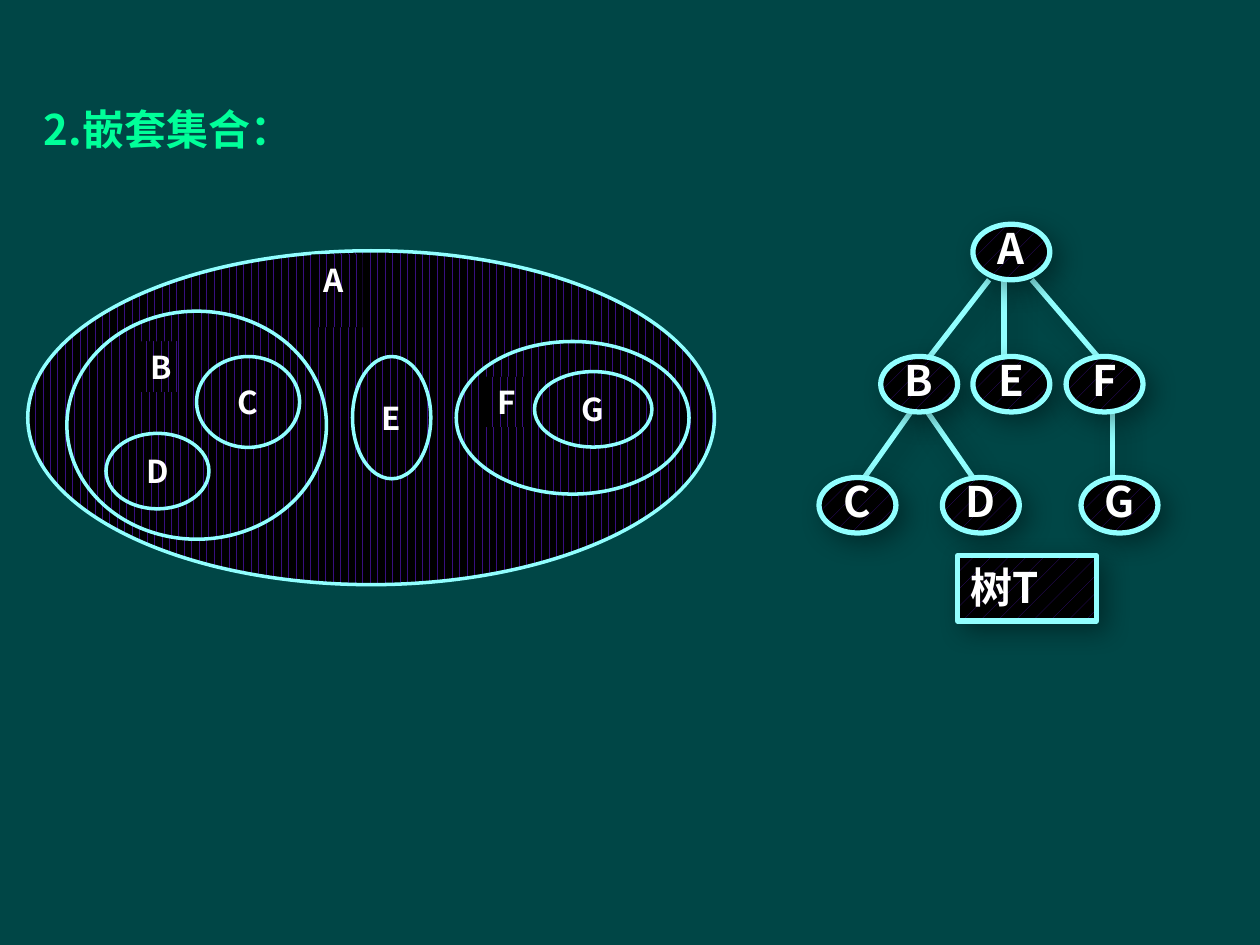
import pptx
import pptx.util
import pptx.dml.color
import pptx.enum.dml
import pptx.enum.shapes
import pptx.enum.text
import pptx.oxml
import pptx.oxml.ns
from dataclasses import dataclass

SHAPE = pptx.enum.shapes.MSO_SHAPE
PATTERN = pptx.enum.dml.MSO_PATTERN
ANCHOR = pptx.enum.text.MSO_ANCHOR
ALIGN = pptx.enum.text.PP_ALIGN


@dataclass
class Theme:
    font: str = "Noto Sans CJK SC"
    background: str = "004646"
    title: str = "00FF99"
    text: str = "FFFFFF"
    outline: str = "91FFFF"
    hatch: str = "380F7F"
    fill: str = "000000"
    large: int = 24
    small: int = 18
    thin: int = 2
    thick: int = 3


@dataclass
class Box:
    x: float
    y: float
    w: float
    h: float

    def point(self, px, py):
        """Position in EMU from percentages of the box."""
        return (pptx.util.Inches(self.x + self.w * px / 100),
                pptx.util.Inches(self.y + self.h * py / 100))

    def area(self, px, py, pw, ph):
        return (*self.point(px, py),
                pptx.util.Inches(self.w * pw / 100),
                pptx.util.Inches(self.h * ph / 100))


theme = Theme()


def rgb(value):
    return pptx.dml.color.RGBColor.from_string(value)


def write(sp, text, size, color, anchor=ANCHOR.TOP, align=ALIGN.LEFT, wrap=True, spacing=None):
    tf = sp.text_frame
    tf.text = text
    tf.word_wrap = wrap
    tf.vertical_anchor = anchor
    p = tf.paragraphs[0]
    p.alignment = align
    p.line_spacing = spacing
    for r in p.runs:
        r.font.name, r.font.size, r.font.bold = theme.font, pptx.util.Pt(size), True
        r.font.color.rgb = rgb(color)
        ea = r.font._element.makeelement(pptx.oxml.ns.qn("a:ea"), {"typeface": theme.font})
        r.font._element.append(ea)


def draw_line(line, width):
    line.color.rgb = rgb(theme.outline)
    line.width = pptx.util.Pt(width)


def add_shadow(sp):
    sp._element.spPr.append(pptx.oxml.parse_xml(
        f'<a:effectLst {pptx.oxml.ns.nsdecls("a")}>'
        '<a:outerShdw blurRad="190500" dist="78740" dir="2700000" algn="ctr" rotWithShape="0">'
        '<a:srgbClr val="000000"><a:alpha val="36000"/></a:srgbClr>'
        '</a:outerShdw></a:effectLst>'))


def add_patterned(shapes, kind, place, pattern, width=None, shadow=False):
    sp = shapes.add_shape(kind, *place)
    sp.fill.patterned()
    sp.fill.pattern = pattern
    sp.fill.fore_color.rgb = rgb(theme.hatch)
    sp.fill.back_color.rgb = rgb(theme.fill)
    if width:
        draw_line(sp.line, width)
    else:
        sp.line.fill.background()
    if shadow:
        add_shadow(sp)
    else:
        sp.shadow.inherit = False
    return sp


def add_title(s, box):
    sp = s.shapes.add_textbox(*box.area(0, 0, 100, 100))
    write(sp, "2.嵌套集合：", theme.large, theme.title, anchor=ANCHOR.BOTTOM)


def add_nested_sets(s, box):
    shapes = s.shapes.add_group_shape().shapes
    # Sets from the outside in; the ones without a name get a label below
    sets = [
        ("", 0, 0, 100, 100),
        ("E", 47.3, 31.7, 11.4, 36.6),
        ("", 5.7, 18.1, 37.8, 68.3),
        ("D", 11.4, 54.7, 15, 22.6),
        ("C", 24.6, 31.7, 15, 27.2),
        ("", 62.4, 27.2, 33.9, 45.7),
        ("G", 73.8, 36.2, 17.1, 22.6),
    ]
    for name, *share in sets:
        sp = add_patterned(shapes, SHAPE.OVAL, box.area(*share),
                           PATTERN.DASHED_VERTICAL, theme.thin)
        if name:
            write(sp, name, theme.small, theme.text, ANCHOR.MIDDLE, ALIGN.CENTER, wrap=False)
    # Labels of the sets that hold others
    labels = [
        ("B", 16.1, 27.2, 5.5, 15.1),
        ("F", 66.6, 37.7, 6.1, 15.1),
        ("A", 41.3, 1.1, 7.5, 21.9),
    ]
    for name, *share in labels:
        sp = add_patterned(shapes, SHAPE.RECTANGLE, box.area(*share), PATTERN.DASHED_VERTICAL)
        write(sp, name, theme.small, theme.text)


def add_tree(s, box):
    shapes = s.shapes.add_group_shape().shapes
    levels = [0, 33.3, 63.8]
    node_w, node_h = 22.7, 14
    # Branches: parent level, x at the parent, x at the child
    branches = [
        (0, 50.2, 32.7), (0, 54.6, 54.6), (0, 62.8, 82.2),
        (1, 27.1, 13.4), (1, 32, 45.4), (1, 86.6, 86.6),
    ]
    for level, x1, x2 in branches:
        line = shapes.add_connector(
            pptx.enum.shapes.MSO_CONNECTOR.STRAIGHT,
            *box.point(x1, levels[level] + node_h), *box.point(x2, levels[level + 1]))
        draw_line(line.line, theme.thick)
        add_shadow(line)
    # Nodes: name, level, left edge
    nodes = [
        ("A", 0, 45.4),
        ("B", 1, 18.2), ("E", 1, 45.4), ("F", 1, 72.9),
        ("C", 2, 0), ("D", 2, 36.4), ("G", 2, 77.3),
    ]
    for name, level, x in nodes:
        sp = add_patterned(shapes, SHAPE.OVAL, box.area(x, levels[level], node_w, node_h),
                           PATTERN.PERCENT_5, theme.thick, shadow=True)
        write(sp, name, theme.large, theme.text, ANCHOR.MIDDLE, ALIGN.CENTER,
              wrap=False, spacing=0.8)
    # Caption
    sp = add_patterned(shapes, SHAPE.RECTANGLE, box.area(40.9, 83.5, 40.9, 16.5),
                       PATTERN.PERCENT_5, theme.thick, shadow=True)
    write(sp, "树T", theme.large, theme.text)


prs = pptx.Presentation()
prs.slide_width, prs.slide_height = pptx.util.Inches(10), pptx.util.Inches(7.5)
s = prs.slides.add_slide(prs.slide_layouts[6])
s.background.fill.solid()
s.background.fill.fore_color.rgb = rgb(theme.background)
add_title(s, Box(0.25, 0.36, 9.75, 0.91))
add_nested_sets(s, Box(0.22, 1.99, 5.45, 2.65))
add_tree(s, Box(6.5, 1.78, 2.69, 3.15))
prs.save("out.pptx")
